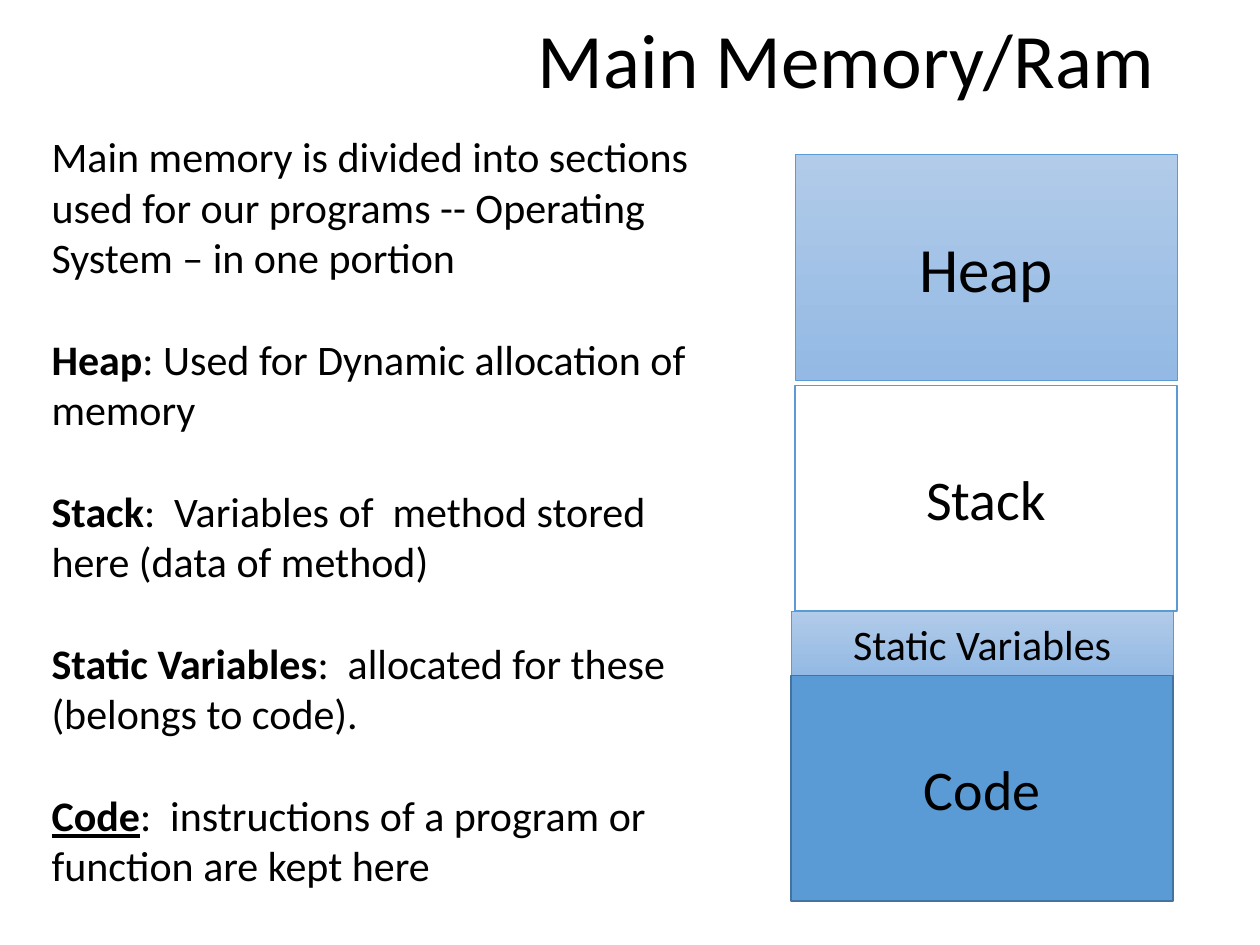
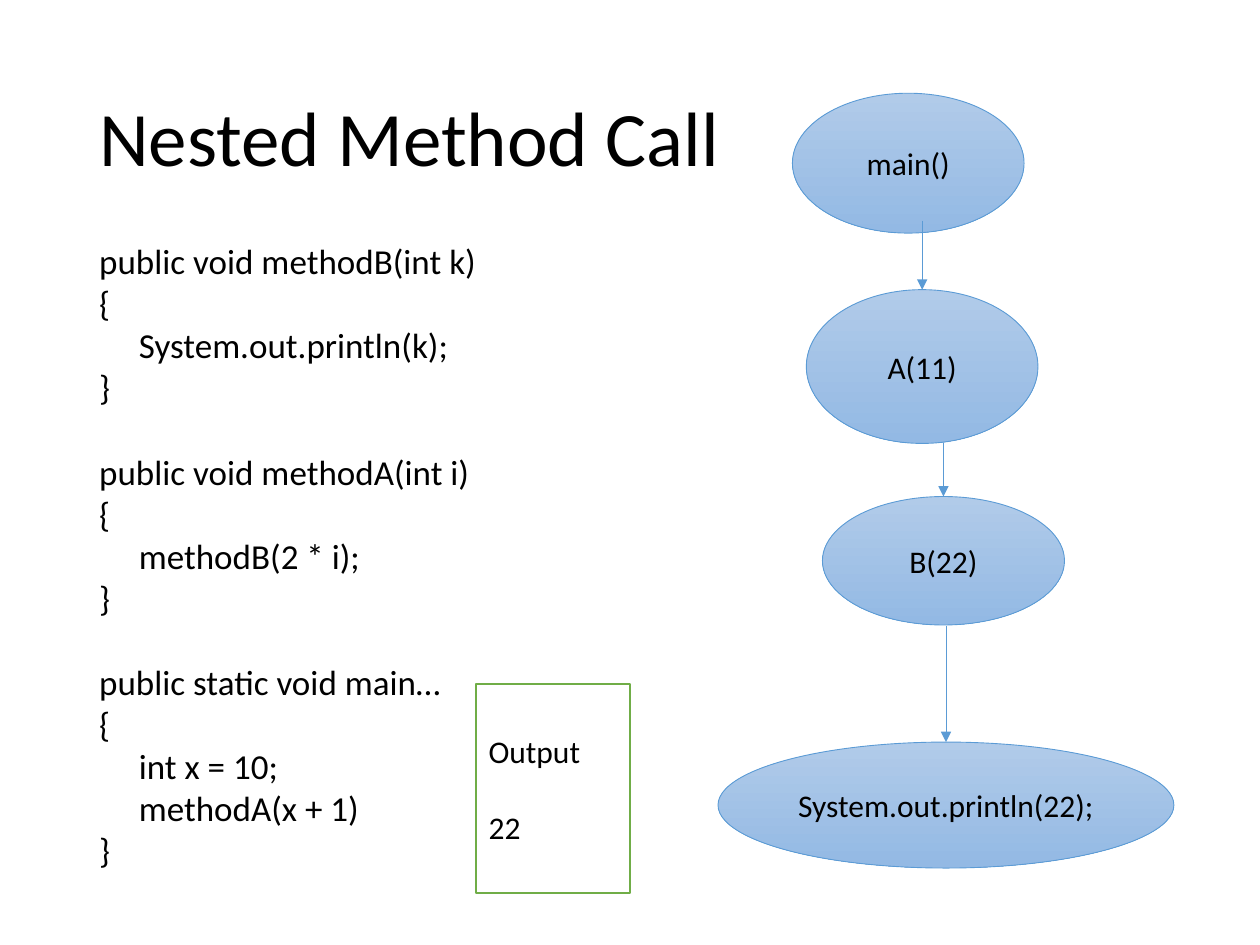
import pptx
import pptx.dml.color
import pptx.enum.shapes
import pptx.enum.text
import pptx.oxml.ns
import pptx.util
from lxml import etree

Cm = pptx.util.Cm
Pt = pptx.util.Pt
SHAPE = pptx.enum.shapes.MSO_SHAPE
ALIGN = pptx.enum.text.PP_ALIGN
ANCHOR = pptx.enum.text.MSO_ANCHOR

COLORS = {
    "text": "000000",
    "white": "FFFFFF",
    "blue": "5B9BD5",
    "dark_blue": "43739E",
    "green": "70AD47",
    "light_top": "B1CBE9",
    "light_bottom": "93B9E4",
}


def rgb(name):
    return pptx.dml.color.RGBColor.from_string(COLORS[name])


class Deck:
    font = "Calibri"
    line_height = 1.22
    code_indent = Cm(0.8)

    def __init__(self):
        self.prs = pptx.Presentation()
        self.prs.slide_width = Cm(25.4)
        self.prs.slide_height = Cm(19.05)
        self.s = None

    def add_slide(self):
        self.s = self.prs.slides.add_slide(self.prs.slide_layouts[6])

    def style(self, r, size, bold=False):
        r.font.name = self.font
        r.font.size = Pt(size)
        r.font.bold = bold
        r.font.color.rgb = rgb("text")

    def fill_text(self, sp, blocks, size, align=ALIGN.LEFT, anchor=ANCHOR.TOP):
        tf = sp.text_frame
        tf.word_wrap = True
        tf.vertical_anchor = anchor
        lines = [(i, j, line) for i, block in enumerate(blocks) for j, line in enumerate(block)]
        tf.text = "\n".join(line[0] if isinstance(line, tuple) else line for _, _, line in lines)
        for p, (i, j, line) in zip(tf.paragraphs, lines):
            p.alignment = align
            if i and not j:
                p.space_before = Pt(round(size * self.line_height, 1))
            has_term = isinstance(line, tuple)
            self.style(p.runs[0], size, has_term)
            if has_term:
                r = p.add_run()
                r.text = line[1]
                self.style(r, size)
        return tf

    def text(self, x, y, w, h, blocks, size, anchor=ANCHOR.TOP):
        sp = self.s.shapes.add_textbox(Cm(x), Cm(y), Cm(w), Cm(h))
        return self.fill_text(sp, blocks, size, anchor=anchor)

    def title(self, x, y, w, h, text):
        tf = self.text(x, y, w, h, [[text]], 44, ANCHOR.MIDDLE)
        tf.paragraphs[0].line_spacing = 0.9

    def code(self, x, y, w, h, methods):
        blocks = [[head, "{", *body, "}"] for head, body in methods]
        statements = {line for _, body in methods for line in body}
        tf = self.text(x, y, w, h, blocks, 20)
        tf.word_wrap = False
        for p in tf.paragraphs:
            if p.text in statements:
                p._p.get_or_add_pPr().set("marL", str(self.code_indent))

    def shape(self, kind, x, y, w, h, blocks, size, fill=None, line="blue",
              line_width=0.5, align=ALIGN.CENTER):
        sp = self.s.shapes.add_shape(kind, Cm(x), Cm(y), Cm(w), Cm(h))
        sp.shadow.inherit = False
        if fill:
            sp.fill.solid()
            sp.fill.fore_color.rgb = rgb(fill)
        else:
            sp.fill.gradient()
            sp.fill.gradient_angle = 270
            for stop, name in zip(sp.fill.gradient_stops, ("light_top", "light_bottom")):
                stop.color.rgb = rgb(name)
        sp.line.color.rgb = rgb(line)
        sp.line.width = Pt(line_width)
        self.fill_text(sp, blocks, size, align, ANCHOR.MIDDLE)
        return sp

    def arrow_down(self, y, target):
        x = target.left + target.width // 2
        cn = self.s.shapes.add_connector(
            pptx.enum.shapes.MSO_CONNECTOR.STRAIGHT, x, Cm(y), x, target.top)
        cn.end_connect(target, 0)
        cn.line.color.rgb = rgb("blue")
        cn.line.width = Pt(0.5)
        qn = pptx.oxml.ns.qn
        ln = cn.line._get_or_add_ln()
        etree.SubElement(ln, qn("a:tailEnd"), type="triangle")
        etree.SubElement(cn._element.spPr, qn("a:effectLst"))


def memory_slide(d):
    d.add_slide()
    d.title(10.59, 0, 14.8, 2.57, "Main Memory/Ram")
    sections = [
        ("Heap", 16.03, 3.12, 4.55, 36, None, "blue", 0.5),
        ("Stack", 16.03, 7.77, 4.55, 32, "white", "blue", 1),
        ("Static Variables", 15.95, 12.32, 1.3, 24, None, "blue", 0.5),
        ("Code", 15.95, 13.62, 4.55, 32, "blue", "dark_blue", 1),
    ]
    for label, x, y, h, size, fill, line, width in sections:
        d.shape(SHAPE.RECTANGLE, x, y, 7.7, h, [[label]], size, fill, line, width)
    tf = d.text(0.79, 2.51, 14.12, 15.65, [
        ["Main memory is divided into sections used for our programs -- "
         "Operating System – in one portion"],
        [("Heap", ": Used for Dynamic allocation of memory")],
        [("Stack", ":  Variables of  method stored here (data of method)")],
        [("Static Variables", ":  allocated for these (belongs to code).")],
        [("Code", ":  instructions of a program or"), "function are kept here"],
    ], 24)
    tf.paragraphs[4].runs[0].font.underline = True


def nested_call_slide(d):
    d.add_slide()
    d.title(1.75, 1.02, 21.9, 3.68, "Nested Method Call")
    d.code(1.75, 4.7, 8.18, 13.08, [
        ("public void methodB(int k)", ["System.out.println(k);"]),
        ("public void methodA(int i)", ["methodB(2 * i);"]),
        ("public static void main…", ["int x = 10;", "methodA(x + 1)"]),
    ])
    calls = [
        ("main()", 18.31, 1.88, 4.67, 2.82),
        ("A(11)", 18.59, 5.84, 4.67, 3.1),
        ("B(22)", 19.02, 10.01, 4.88, 2.59),
        ("System.out.println(22);", 19.07, 14.96, 9.19, 2.54),
    ]
    ovals = [d.shape(SHAPE.OVAL, center - w / 2, y, w, h, [[label]], 18)
             for label, center, y, w, h in calls]
    d.shape(SHAPE.RECTANGLE, 9.6, 13.79, 3.1, 4.22, [["Output"], ["22"]], 18,
            "white", "green", 1, ALIGN.LEFT)
    for y, target in zip((4.45, 8.94, 12.62), ovals[1:]):
        d.arrow_down(y, target)


def main():
    d = Deck()
    memory_slide(d)
    nested_call_slide(d)
    d.prs.save("out.pptx")


if __name__ == "__main__":
    main()
